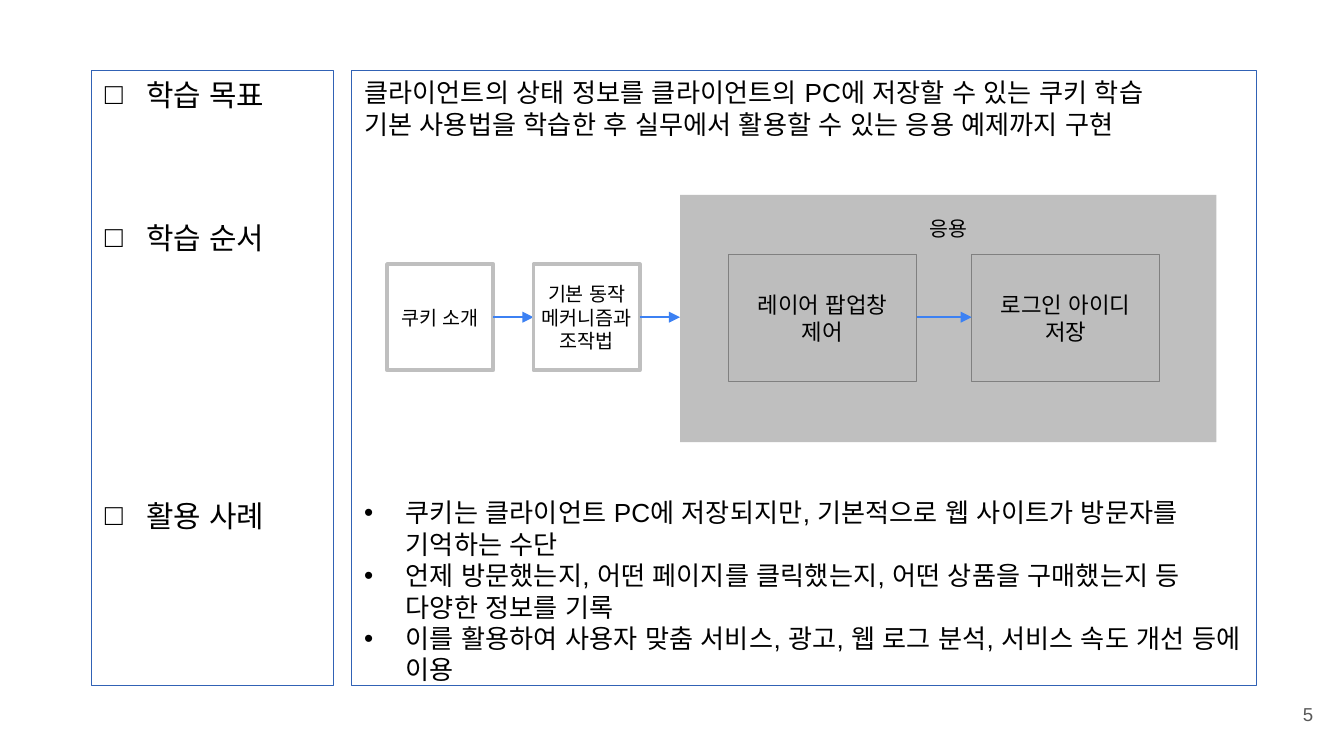
from lxml.etree import SubElement
from pptx import Presentation
from pptx.dml.color import RGBColor
from pptx.enum.shapes import MSO_CONNECTOR as Connector, MSO_SHAPE as Shape
from pptx.enum.text import MSO_ANCHOR as Anchor, MSO_AUTO_SIZE as AutoSize, PP_ALIGN as Align
from pptx.oxml.ns import qn
from pptx.util import Inches, Pt

TOPICS = [("학습 목표", 0), ("학습 순서", 57.5), ("활용 사례", 129.6)]
GOALS = [
    "클라이언트의 상태 정보를 클라이언트의 PC에 저장할 수 있는 쿠키 학습",
    "기본 사용법을 학습한 후 실무에서 활용할 수 있는 응용 예제까지 구현",
]
USES = [
    "쿠키는 클라이언트 PC에 저장되지만, 기본적으로 웹 사이트가 방문자를 기억하는 수단",
    "언제 방문했는지, 어떤 페이지를 클릭했는지, 어떤 상품을 구매했는지 등 다양한 정보를 기록",
    "이를 활용하여 사용자 맞춤 서비스, 광고, 웹 로그 분석, 서비스 속도 개선 등에 이용",
]
STEPS = ["쿠키 소개", "기본 동작\v메커니즘과\v조작법"]
APPLICATIONS = ["레이어 팝업창\v제어", "로그인 아이디\v저장"]


def color(hex_string):
    """Turn a hex string into a colour."""
    return RGBColor.from_string(hex_string)


def format_runs(paragraph, size, hex_string="000000"):
    """Apply the slide's Latin and East Asian font to every run of a paragraph."""
    for run in paragraph.runs:
        run.font.name = "Arial"
        run.font.size = Pt(size)
        run.font.color.rgb = color(hex_string)
        SubElement(run._r.get_or_add_rPr(), qn("a:ea"), typeface="Arial")


def set_bullet(paragraph, bullet):
    """Give a paragraph a hanging bullet, or none."""
    properties = paragraph._p.get_or_add_pPr()
    indent = Inches(0.31) if bullet else 0
    properties.set("marL", str(indent))
    properties.set("indent", str(-indent))
    if bullet:
        bullet_color = SubElement(properties, qn("a:buClr"))
        SubElement(bullet_color, qn("a:srgbClr"), val="000000")
        SubElement(properties, qn("a:buFont"), typeface="Arial")
        SubElement(properties, qn("a:buChar"), char=bullet)
    else:
        SubElement(properties, qn("a:buNone"))


def fill_panel(panel, box, entries, size):
    """Place an outlined panel and write (text, space before, bullet) entries."""
    panel.left, panel.top, panel.width, panel.height = map(Inches, box)
    panel.line.color.rgb = color("3162B5")
    panel.line.width = Pt(0.25)
    frame = panel.text_frame
    frame.auto_size = AutoSize.NONE
    frame.vertical_anchor = Anchor.TOP
    frame.text = "\n".join(text for text, _, _ in entries)
    for paragraph, (_, space, bullet) in zip(frame.paragraphs, entries):
        paragraph.alignment = Align.LEFT
        paragraph.space_before = Pt(space)
        set_bullet(paragraph, bullet)
        format_runs(paragraph, size)


def add_box(slide, box, label, size, fill, outline=None, weight=0, wrap=False):
    """Add a filled rectangle with a centred label and return it."""
    step = slide.shapes.add_shape(Shape.RECTANGLE, *map(Inches, box))
    step.shadow.inherit = False
    step.fill.solid()
    step.fill.fore_color.rgb = color(fill)
    if outline:
        step.line.color.rgb = color(outline)
        step.line.width = Pt(weight)
    else:
        step.line.fill.background()
    frame = step.text_frame
    frame.word_wrap = wrap
    frame.vertical_anchor = Anchor.MIDDLE
    frame.text = label
    for paragraph in frame.paragraphs:
        paragraph.alignment = Align.CENTER
        format_runs(paragraph, size)
    return step


def add_arrow(slide, start, end, y):
    """Add a horizontal arrow."""
    arrow = slide.shapes.add_connector(
        Connector.STRAIGHT, Inches(start), Inches(y), Inches(end), Inches(y))
    arrow.line.color.rgb = color("3C81F3")
    arrow.line.width = Pt(0.75)
    SubElement(arrow.line._get_or_add_ln(), qn("a:tailEnd"), type="triangle")
    SubElement(arrow._element.spPr, qn("a:effectLst"))


def add_applications(slide, left, top, width, height):
    """Draw the grey application group with its linked boxes."""
    group = add_box(slide, (left, top, width, height), "응용", 11, "BFBFBF")
    group.text_frame.vertical_anchor = Anchor.TOP
    group.text_frame.margin_top = Inches(0.16)
    box_width, pitch, first = 1.4, 1.81, left + 0.36
    for index, label in enumerate(APPLICATIONS):
        add_box(slide, (first + index * pitch, top + 0.44, box_width, 0.95),
                label, 12, "BDBDBD", "808080", 0.5, wrap=True)
    add_arrow(slide, first + box_width, first + pitch, top + 0.91)


def add_flow(slide, left, top, width, height):
    """Draw the learning order from left to right in its box."""
    side, pitch = 0.79, 1.09
    middle = top + 0.91
    for index, label in enumerate(STEPS):
        x = left + index * pitch
        add_box(slide, (x, middle - side / 2, side, side),
                label, 10.5, "FFFFFF", "BFBFBF", 2)
        add_arrow(slide, x + side, x + pitch, middle)
    group_left = left + len(STEPS) * pitch
    add_applications(slide, group_left, top, left + width - group_left, height)


def add_page_number(slide, left, top, width, height):
    """Write the page number at the right of its box."""
    number = slide.shapes.add_textbox(*map(Inches, (left, top, width, height)))
    frame = number.text_frame
    frame.word_wrap = True
    frame.vertical_anchor = Anchor.MIDDLE
    frame.margin_left = frame.margin_right = Inches(0.1)
    frame.margin_top = frame.margin_bottom = Inches(0.1)
    frame.text = "5"
    frame.paragraphs[0].alignment = Align.RIGHT
    format_runs(frame.paragraphs[0], 10, "595959")


def main():
    """Build the lesson overview slide."""
    deck = Presentation()
    deck.slide_width = Inches(10)
    deck.slide_height = deck.slide_width * 9 // 16
    slide = deck.slides.add_slide(deck.slide_layouts.get_by_name("Two Content"))
    title, topics, details = slide.placeholders
    title._element.getparent().remove(title._element)

    fill_panel(topics, (0.68, 0.52, 1.8, 4.58),
               [(text, space, "□") for text, space in TOPICS], 16)
    goals = [(text, 0, None) for text in GOALS]
    uses = [(text, 0 if index else 191.5, "•") for index, text in enumerate(USES)]
    fill_panel(details, (2.61, 0.52, 6.74, 4.58), goals + uses, 14)
    add_flow(slide, 2.88, 1.45, 6.17, 1.84)
    add_page_number(slide, 9.27, 5.1, 0.6, 0.43)
    deck.save("out.pptx")


if __name__ == "__main__":
    main()
